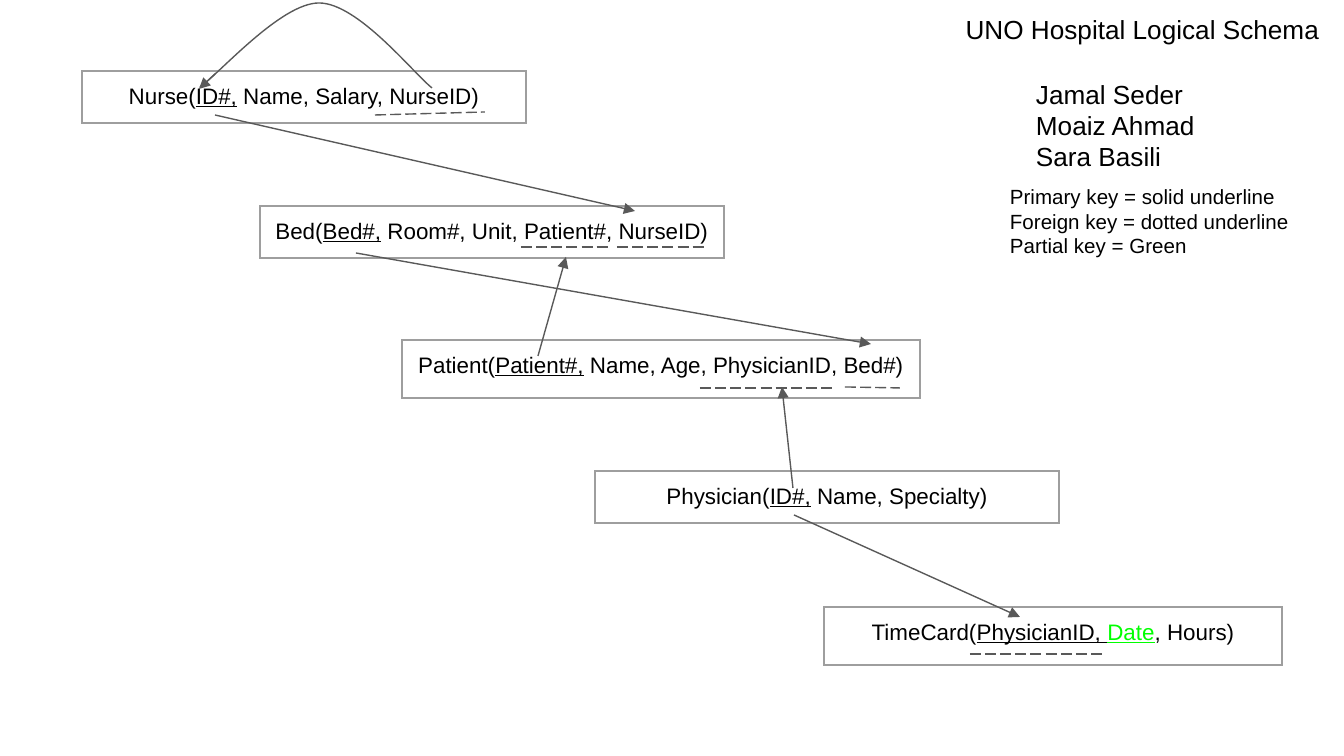
import pptx
import pptx.dml.color
import pptx.enum.dml
import pptx.enum.text
import pptx.oxml
import pptx.oxml.ns
import pptx.util
from lxml import etree

EMU_PER_PX = 914400 / 134.4
BLACK = pptx.dml.color.RGBColor(0x00, 0x00, 0x00)
GREEN = pptx.dml.color.RGBColor(0x00, 0xFF, 0x00)
LINE_GRAY = pptx.dml.color.RGBColor(0x59, 0x59, 0x59)
BORDER_GRAY = pptx.dml.color.RGBColor(0x9E, 0x9E, 0x9E)
CENTER = pptx.enum.text.PP_ALIGN.CENTER
LEFT = pptx.enum.text.PP_ALIGN.LEFT
qn = pptx.oxml.ns.qn


def px(*lengths):
    return [pptx.util.Emu(round(length * EMU_PER_PX)) for length in lengths]


def draw_line(start, end, dashed=False):
    connector = slide.shapes.add_connector(1, *px(*start, *end))
    connector.line.color.rgb = LINE_GRAY
    connector.line.width = pptx.util.Pt(0.75)
    etree.SubElement(connector._element.spPr, qn("a:effectLst"))
    if dashed:
        connector.line.dash_style = pptx.enum.dml.MSO_LINE.LONG_DASH
    else:
        etree.SubElement(connector.line._get_or_add_ln(), qn("a:tailEnd"), type="triangle")


presentation = pptx.Presentation()
presentation.slide_width, presentation.slide_height = px(1344, 756)
slide = presentation.slides.add_slide(presentation.slide_layouts[6])

relations = [
    ((402, 340, 518, 58), "Patient(", "Patient#,", "", " Name, Age, PhysicianID, Bed#)"),
    ((595, 471, 464, 52), "Physician(", "ID#,", "", " Name, Specialty)"),
    ((260, 206, 464, 52), "Bed(", "Bed#,", "", " Room#, Unit, Patient#, NurseID)"),
    ((82, 71, 444, 52), "Nurse(", "ID#,", "", " Name, Salary, NurseID)"),
    ((824, 607, 458, 58), "TimeCard(", "PhysicianID, ", "Date", ", Hours)"),
]
for box, opening, primary_key, partial_key, attributes in relations:
    relation = slide.shapes.add_table(1, 1, *px(*box)).table
    relation.first_row = relation.horz_banding = False
    cell = relation.cell(0, 0)
    cell.margin_left, cell.margin_right, cell.margin_top, cell.margin_bottom = px(13, 13, 13, 13)
    cell.fill.background()
    for position, side in enumerate(("lnL", "lnR", "lnT", "lnB")):
        border = etree.Element(qn("a:" + side), w=str(pptx.util.Pt(0.75)))
        border_fill = etree.SubElement(border, qn("a:solidFill"))
        etree.SubElement(border_fill, qn("a:srgbClr"), val=str(BORDER_GRAY))
        cell._tc.tcPr.insert(position, border)
    schema = cell.text_frame.paragraphs[0]
    schema.alignment = CENTER
    schema.font.size = pptx.util.Pt(12)
    schema.font.name = "Arial"
    for wording, underlined, color in (
        (opening, False, BLACK),
        (primary_key, True, BLACK),
        (partial_key, True, GREEN),
        (attributes, False, BLACK),
    ):
        if wording:
            run = schema.add_run()
            run.text = wording
            run.font.underline = underlined
            run.font.color.rgb = color

foreign_keys = [
    ((845, 387), (900, 388)),
    ((970, 654), (1106, 654)),
    ((521, 247), (609, 247)),
    ((700, 388), (836, 388)),
    ((617, 247), (704, 247)),
    ((375, 115), (485, 112)),
]
for start, end in foreign_keys:
    draw_line(start, end, dashed=True)

references = [
    ((215, 115), (635, 211)),
    ((538, 356), (566, 257)),
    ((356, 253), (871, 344)),
    ((793, 488), (782, 387)),
    ((794, 515), (1020, 617)),
    ((215, 74), (199, 89)),
]
for start, end in references:
    draw_line(start, end)

supervision = slide.shapes.build_freeform(432, 88, scale=EMU_PER_PX)
supervision.add_line_segments(
    [(414, 74), (358, 3), (319, 3), (281, 3), (220, 73), (200, 87)], close=False
)
arc = supervision.convert_to_shape()
arc.shadow.inherit = False
arc.fill.background()
arc.line.color.rgb = LINE_GRAY
arc.line.width = pptx.util.Pt(0.75)
segments = list(arc._element.iter(qn("a:lnTo")))
for first in range(0, len(segments), 3):
    curve = etree.Element(qn("a:cubicBezTo"))
    segments[first].addprevious(curve)
    for segment in segments[first:first + 3]:
        curve.append(segment[0])
        segment.getparent().remove(segment)

captions = [
    ((941, 0, 403, 59), 14, CENTER, ["UNO Hospital Logical Schema"]),
    ((1023, 65, 243, 122), 14, LEFT, ["Jamal Seder", "Moaiz Ahmad", "Sara Basili"]),
    ((997, 171, 312, 102), 11, LEFT, [
        "Primary key = solid underline",
        "Foreign key = dotted underline",
        "Partial key = Green",
    ]),
]
for box, size, alignment, lines in captions:
    frame = slide.shapes.add_textbox(*px(*box)).text_frame
    frame.word_wrap = True
    frame.margin_left, frame.margin_right, frame.margin_top, frame.margin_bottom = px(13, 13, 13, 13)
    frame.text = "\n".join(lines)
    for paragraph in frame.paragraphs:
        paragraph.alignment = alignment
        paragraph.font.size = pptx.util.Pt(size)
        paragraph.font.name = "Arial"
        paragraph.font.color.rgb = BLACK

presentation.save("out.pptx")
